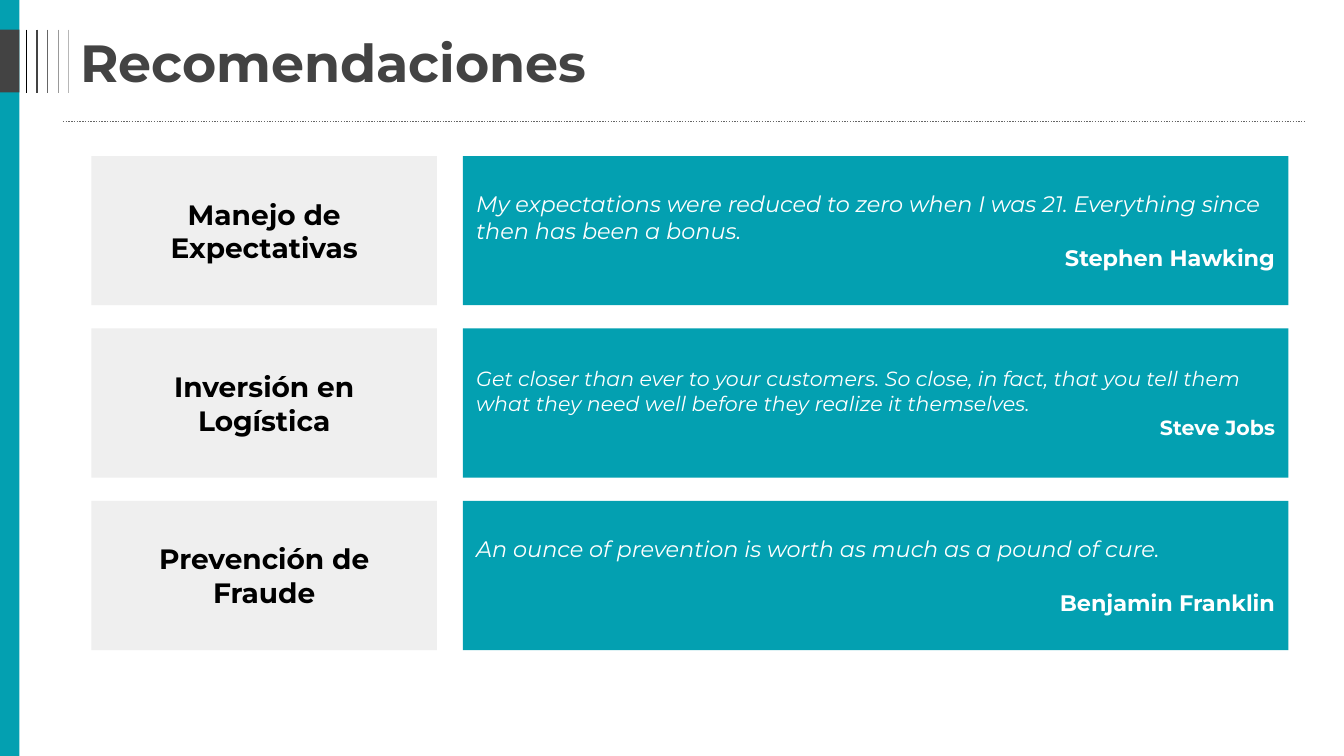
from pptx import Presentation
from pptx.dml.color import RGBColor as RGB
from pptx.enum.dml import MSO_LINE
from pptx.enum.shapes import MSO_CONNECTOR, MSO_SHAPE
from pptx.enum.text import MSO_ANCHOR, MSO_AUTO_SIZE, PP_ALIGN
from pptx.oxml.ns import qn
from pptx.util import Cm, Pt
from lxml.etree import SubElement

FONT = "Montserrat"
TEAL = RGB(0x03, 0xA0, 0xB1)
DARK = RGB(0x43, 0x43, 0x43)
MID = RGB(0x66, 0x66, 0x66)
PALE = RGB(0xEF, 0xEF, 0xEF)
BLACK = RGB(0, 0, 0)
WHITE = RGB(0xFF, 0xFF, 0xFF)
STRIPES = [BLACK, DARK, MID, RGB(0x99, 0x99, 0x99), RGB(0xB7, 0xB7, 0xB7)]

ROWS = [
    ("Manejo de Expectativas",
     "My expectations were reduced to zero when I was 21. "
     "Everything since then has been a bonus.", "Stephen Hawking", 12, 0),
    ("Inversión en Logística",
     "Get closer than ever to your customers. So close, in fact, that you "
     "tell them what they need well before they realize it themselves.",
     "Steve Jobs", 11, 0),
    ("Prevención de Fraude",
     "An ounce of prevention is worth as much as a pound of cure.",
     "Benjamin Franklin", 12, 14.6),
]


def add_rect(s, x, y, w, h, color):
    """Add a plain filled rectangle, measured in centimetres."""
    sp = s.shapes.add_shape(MSO_SHAPE.RECTANGLE, Cm(x), Cm(y), Cm(w), Cm(h))
    sp.shadow.inherit = False
    sp.fill.solid()
    sp.fill.fore_color.rgb = color
    sp.line.fill.background()
    return sp


def add_line(s, x1, y1, x2, y2, color, dash=None):
    """Add a thin straight line, measured in centimetres."""
    ln = s.shapes.add_connector(MSO_CONNECTOR.STRAIGHT, Cm(x1), Cm(y1), Cm(x2), Cm(y2))
    ln.line.color.rgb = color
    ln.line.width = Pt(0.75)
    if dash:
        ln.line.dash_style = dash
    SubElement(ln._element.spPr, qn("a:effectLst"))


def set_frame(tf, left, right, vertical):
    """Wrap a text frame, centre it vertically and set its insets."""
    tf.word_wrap = True
    tf.auto_size = MSO_AUTO_SIZE.NONE
    tf.vertical_anchor = MSO_ANCHOR.MIDDLE
    tf.margin_left, tf.margin_right = Cm(left), Cm(right)
    tf.margin_top = tf.margin_bottom = Cm(vertical)


def set_text(p, text, size, color, align, bold=False, italic=False):
    """Write one paragraph and format its run."""
    p.text = text
    p.alignment = align
    font = p.runs[0].font
    font.name, font.size, font.color.rgb = FONT, Pt(size), color
    font.bold, font.italic = bold, italic


def add_header(s, x, y, w, h):
    """Place the title, the stripes on its left and the dotted rule below."""
    title = s.shapes.title
    title.left, title.top, title.width, title.height = Cm(x), Cm(y), Cm(w), Cm(h)
    set_frame(title.text_frame, 0.33, 0.25, 0.13)
    set_text(title.text_frame.paragraphs[0], "Recomendaciones", 28, DARK,
             PP_ALIGN.LEFT, bold=True)
    for i, color in enumerate(STRIPES):
        stripe_x = 0.5 + 0.2 * i
        add_line(s, stripe_x, y, stripe_x, y + h, color)
    add_line(s, x, 2.3, x + w, 2.3, MID, MSO_LINE.ROUND_DOT)


def add_sidebar(s, x, y, w, h):
    """Place the side bar and its dark block beside the title."""
    add_rect(s, x, y, w, h, TEAL)
    add_rect(s, x, 0.56, w, 1.19, DARK)


def add_row(s, x, y, w, h, row):
    """Place one recommendation: a label and the quote that supports it."""
    label, quote, author, size, space = row
    label_w, gap = 6.53, 0.49
    quote_x = x + label_w + gap
    tf = add_rect(s, quote_x, y, x + w - quote_x, h, TEAL).text_frame
    set_frame(tf, 0.25, 0.25, 0.25)
    set_text(tf.paragraphs[0], quote, size, WHITE, PP_ALIGN.LEFT, italic=True)
    p = tf.add_paragraph()
    set_text(p, author, size, WHITE, PP_ALIGN.RIGHT, bold=True)
    p.space_before = Pt(space)
    tf = add_rect(s, x, y, label_w, h, PALE).text_frame
    set_frame(tf, 0.3, 0.3, 0.25)
    set_text(tf.paragraphs[0], label, 15, BLACK, PP_ALIGN.CENTER, bold=True)


def main():
    """Build and save the slide."""
    prs = Presentation()
    prs.slide_width, prs.slide_height = Cm(25.4), Cm(14.29)
    s = prs.slides.add_slide(prs.slide_layouts[5])
    add_sidebar(s, -0.03, 0, 0.4, 14.29)
    add_header(s, 1.19, 0.56, 23.47, 1.19)
    for i, row in enumerate(ROWS):
        add_row(s, 1.73, 2.95 + 3.26 * i, 22.62, 2.82, row)
    prs.save("out.pptx")


if __name__ == "__main__":
    main()
